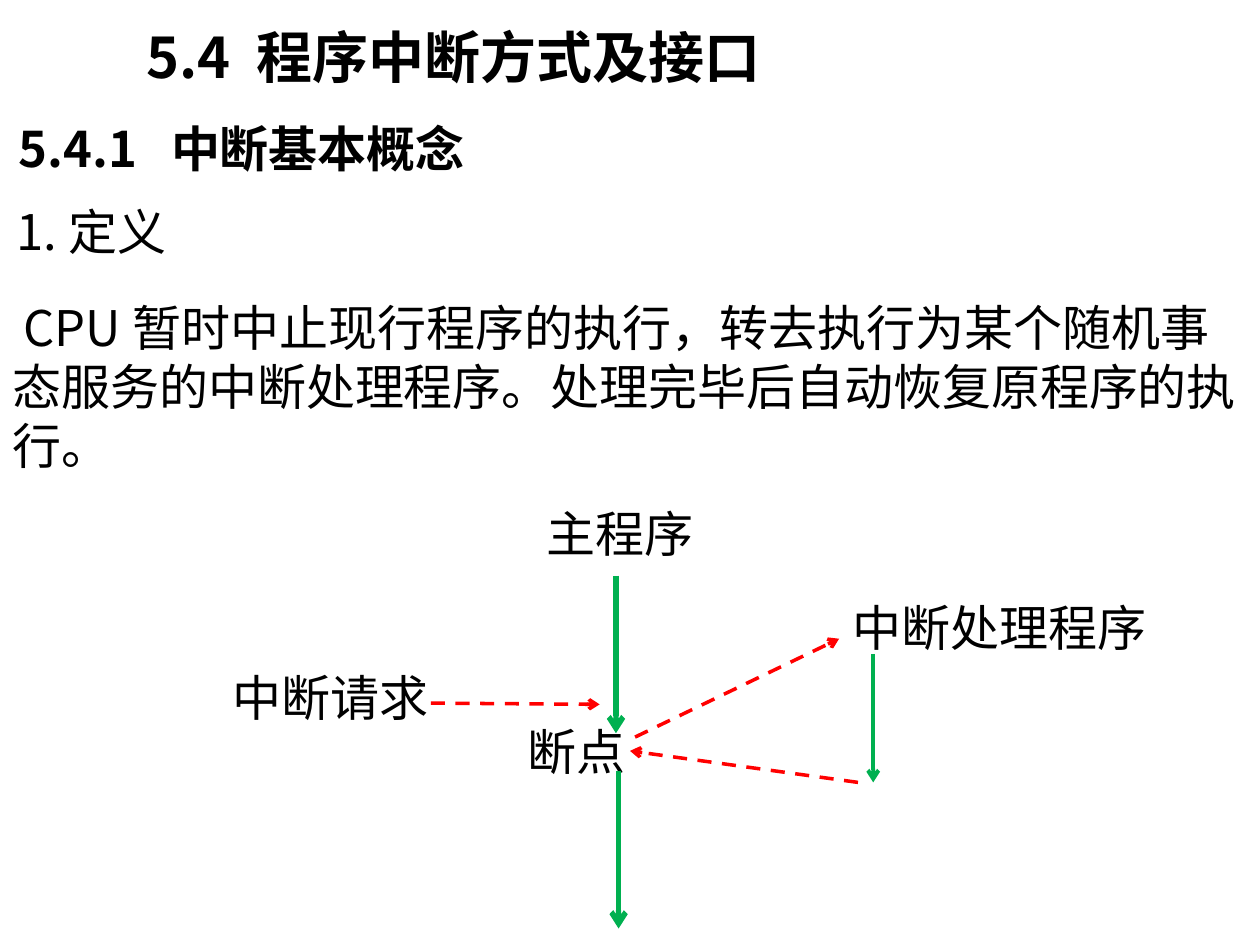
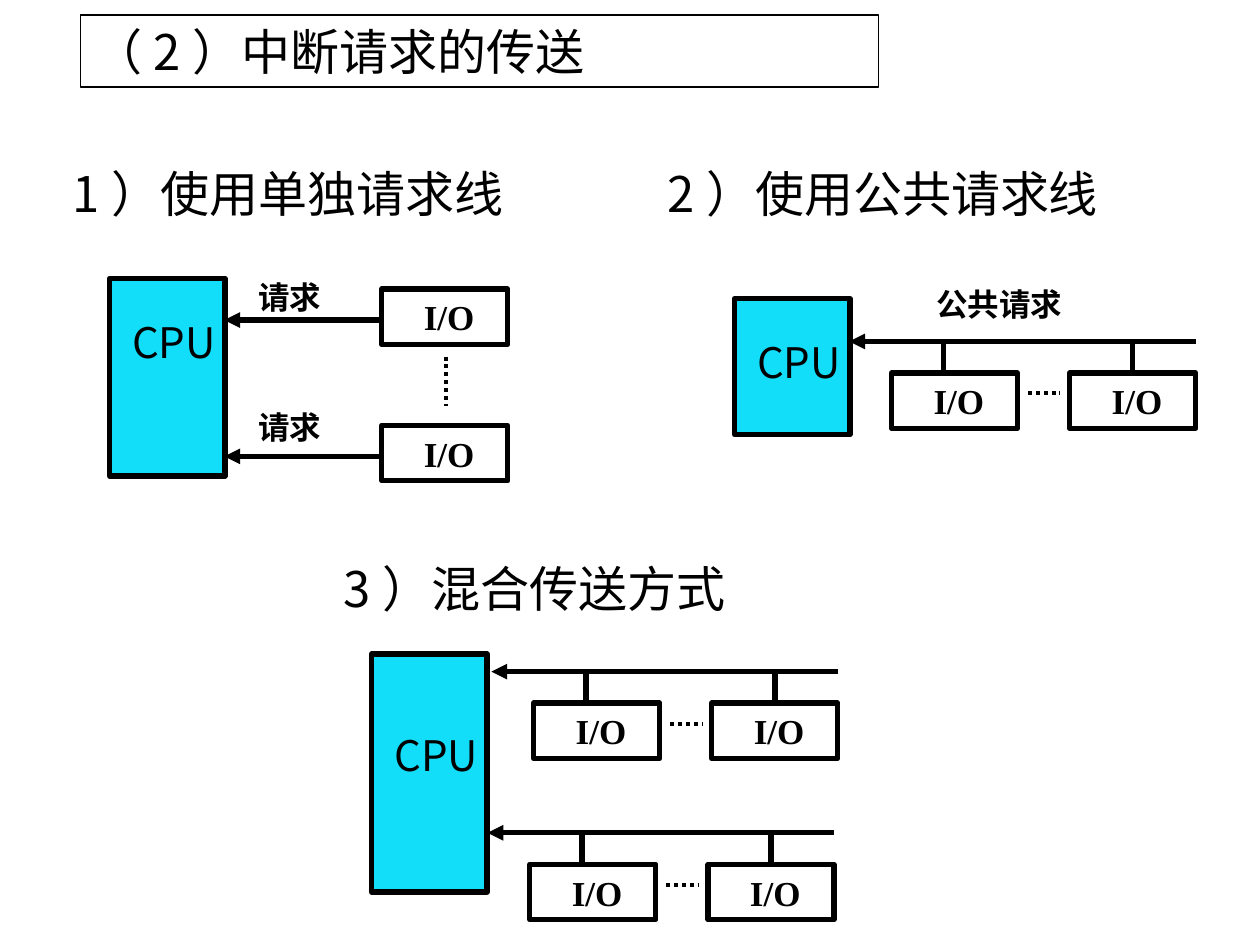
import pptx
import pptx.util
import pptx.dml.color
import pptx.enum.dml
import pptx.enum.shapes
import pptx.enum.text
import pptx.oxml.ns
from lxml import etree

Pt = pptx.util.Pt
Dash = pptx.enum.dml.MSO_LINE_DASH_STYLE
Align = pptx.enum.text.PP_ALIGN
Anchor = pptx.enum.text.MSO_ANCHOR

BLACK = pptx.dml.color.RGBColor(0x00, 0x00, 0x00)
GREEN = pptx.dml.color.RGBColor(0x00, 0xB0, 0x50)
RED = pptx.dml.color.RGBColor(0xFF, 0x00, 0x00)
CYAN = pptx.dml.color.RGBColor(0x12, 0xDE, 0xFA)
HAN_FONT = "Noto Sans CJK SC"
IO_FONT = "Times New Roman"
TITLE_AND_BODY, TITLE_ONLY = 1, 5


def add_child(parent, tag, **attributes):
    return etree.SubElement(parent, pptx.oxml.ns.qn(tag), attributes)


def write_text(frame, text, size=28, bold=False, font=HAN_FONT,
               align=Align.LEFT, anchor=Anchor.TOP):
    frame.word_wrap = True
    frame.auto_size = pptx.enum.text.MSO_AUTO_SIZE.NONE
    frame.vertical_anchor = anchor
    frame.margin_left = frame.margin_right = Pt(7.2)
    frame.margin_top = frame.margin_bottom = Pt(3.6)
    paragraph = frame.paragraphs[0]
    paragraph.alignment = align
    paragraph.space_before = Pt(0)
    properties = paragraph._p.get_or_add_pPr()
    properties.set("marL", "0")
    properties.set("indent", "0")
    add_child(properties, "a:buNone")
    run = paragraph.add_run()
    run.text = text
    run.font.size = Pt(size)
    run.font.bold = bold
    run.font.color.rgb = BLACK
    run.font.name = font
    add_child(run._r.get_or_add_rPr(), "a:ea", typeface=font)


class Deck:
    def __init__(self):
        self.presentation = pptx.Presentation()
        self.presentation.slide_width = Pt(720)
        self.presentation.slide_height = Pt(540)
        self.slide = None

    def start_slide(self, layout):
        layouts = self.presentation.slide_layouts
        self.slide = self.presentation.slides.add_slide(layouts[layout])

    def placeholder(self, index, text, left, top, width, height, **style):
        holder = self.slide.placeholders[index]
        holder.left, holder.top = Pt(left), Pt(top)
        holder.width, holder.height = Pt(width), Pt(height)
        write_text(holder.text_frame, text, **style)
        return holder

    def label(self, text, left, top, width, height=41, **style):
        box = self.slide.shapes.add_textbox(
            Pt(left), Pt(top), Pt(width), Pt(height))
        write_text(box.text_frame, text, **style)

    def box(self, left, top, width, height, fill=None):
        shape = self.slide.shapes.add_shape(
            pptx.enum.shapes.MSO_SHAPE.RECTANGLE,
            Pt(left), Pt(top), Pt(width), Pt(height))
        shape.shadow.inherit = False
        if fill is None:
            shape.fill.background()
        else:
            shape.fill.solid()
            shape.fill.fore_color.rgb = fill
        shape.line.color.rgb = BLACK
        shape.line.width = Pt(3)
        return shape

    def line(self, x1, y1, x2, y2, color=BLACK, width=3, dash=None,
             head=None, tail=None):
        connector = self.slide.shapes.add_connector(
            pptx.enum.shapes.MSO_CONNECTOR.STRAIGHT,
            Pt(x1), Pt(y1), Pt(x2), Pt(y2))
        connector.line.color.rgb = color
        connector.line.width = Pt(width)
        if dash is not None:
            connector.line.dash_style = dash
        stroke = connector.line._get_or_add_ln()
        for tag, kind in (("a:headEnd", head), ("a:tailEnd", tail)):
            if kind:
                add_child(stroke, tag, type=kind)
        add_child(connector._element.spPr, "a:effectLst")

    def program_flow(self, x, top, bottom, width=3):
        self.line(x, top, x, bottom, GREEN, width, tail="arrow")

    def transfer(self, x1, y1, x2, y2):
        self.line(x1, y1, x2, y2, RED, 2, Dash.DASH, tail="arrow")

    def dots(self, x1, y1, x2, y2):
        self.line(x1, y1, x2, y2, width=2.25, dash=Dash.ROUND_DOT)

    def cpu(self, left, top, height, label_drop=18):
        self.box(left, top, 66, height, CYAN)
        self.label("CPU", left + 5.8, top + label_drop, 78, 36.5, size=24)

    def device(self, left, top):
        write_text(self.box(left, top, 72, 31.7).text_frame, " I/O", size=20,
                   bold=True, font=IO_FONT, align=Align.CENTER,
                   anchor=Anchor.MIDDLE)

    def shared_line(self, left, y):
        self.line(left, y, left + 198, y, head="triangle")
        for device_offset, tap_offset in ((24.2, 54), (126, 162)):
            self.device(left + device_offset, y + 18)
            self.line(left + tap_offset, y, left + tap_offset, y + 18)
        self.dots(left + 102.2, y + 29.7, left + 120.2, y + 29.7)


def build_concept(deck):
    deck.start_slide(TITLE_AND_BODY)
    deck.placeholder(0, "5.4 程序中断方式及接口", 76.3, 9.4, 506, 46,
                     size=32, bold=True)
    deck.label("5.4.1  中断基本概念", 3.6, 64, 402, bold=True)
    deck.label("1.定义", 2.2, 111.6, 456)
    deck.placeholder(1, " CPU暂时中止现行程序的执行，转去执行为某个随机事态服务的"
                        "中断处理程序。处理完毕后自动恢复原程序的执行。",
                     0, 166.3, 720, 75)

    for text, left, top, width in (
            ("中断请求", 126, 378, 160), ("中断处理程序", 480.2, 337.7, 197.3),
            ("主程序", 305.3, 284.4, 139.7), ("断点", 294.5, 409, 79.2)):
        deck.label(text, left, top, width)

    deck.program_flow(352, 329, 419)
    deck.program_flow(353.5, 440.6, 530.6)
    deck.program_flow(499, 373.7, 447.1, width=2.25)
    deck.transfer(246.2, 401.8, 342.7, 402.5)
    deck.transfer(362.9, 421.2, 479.5, 365)
    deck.transfer(490.3, 447.1, 360, 429.1)


def build_request_lines(deck):
    deck.start_slide(TITLE_ONLY)
    heading = deck.placeholder(0, "（2）中断请求的传送", 46, 8.6, 456, 41)
    heading.line.color.rgb = BLACK
    heading.line.width = Pt(1)

    deck.label("1）使用单独请求线", 34.6, 90, 354)
    deck.cpu(62.6, 159.1, 113)
    for request_y in (182.9, 260.8):
        deck.line(128.2, request_y, 218.2, request_y, head="triangle")
        deck.device(218.2, request_y - 17.7)
    for label_top in (155.5, 229.7):
        deck.label("请求", 140.4, label_top, 95.8, 28.8, size=18, bold=True)
    deck.dots(254.9, 203.8, 254.9, 231.8)

    deck.label("2）使用公共请求线", 374.4, 90, 285)
    deck.cpu(419.8, 170.6, 77.8)
    deck.label("公共请求", 527.8, 159.1, 131.8, 28.8, size=18, bold=True)
    deck.shared_line(485.3, 195.1)

    deck.label("3）混合传送方式", 189.4, 315.4, 285)
    deck.cpu(212.4, 373.7, 136, label_drop=39.6)
    deck.shared_line(280.8, 383.8)
    deck.shared_line(278.6, 475.9)


def main():
    deck = Deck()
    build_concept(deck)
    build_request_lines(deck)
    deck.presentation.save("out.pptx")


if __name__ == "__main__":
    main()
